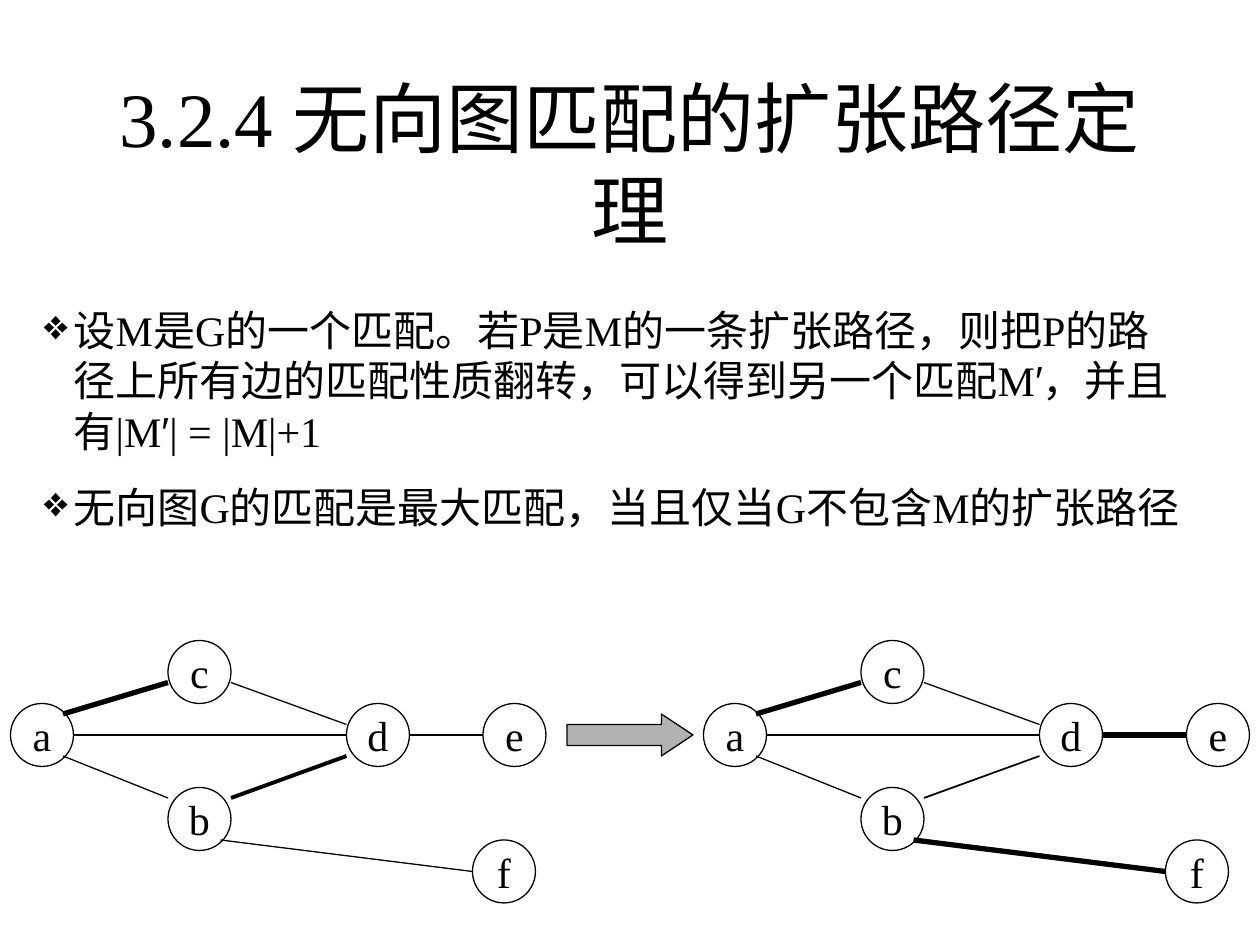
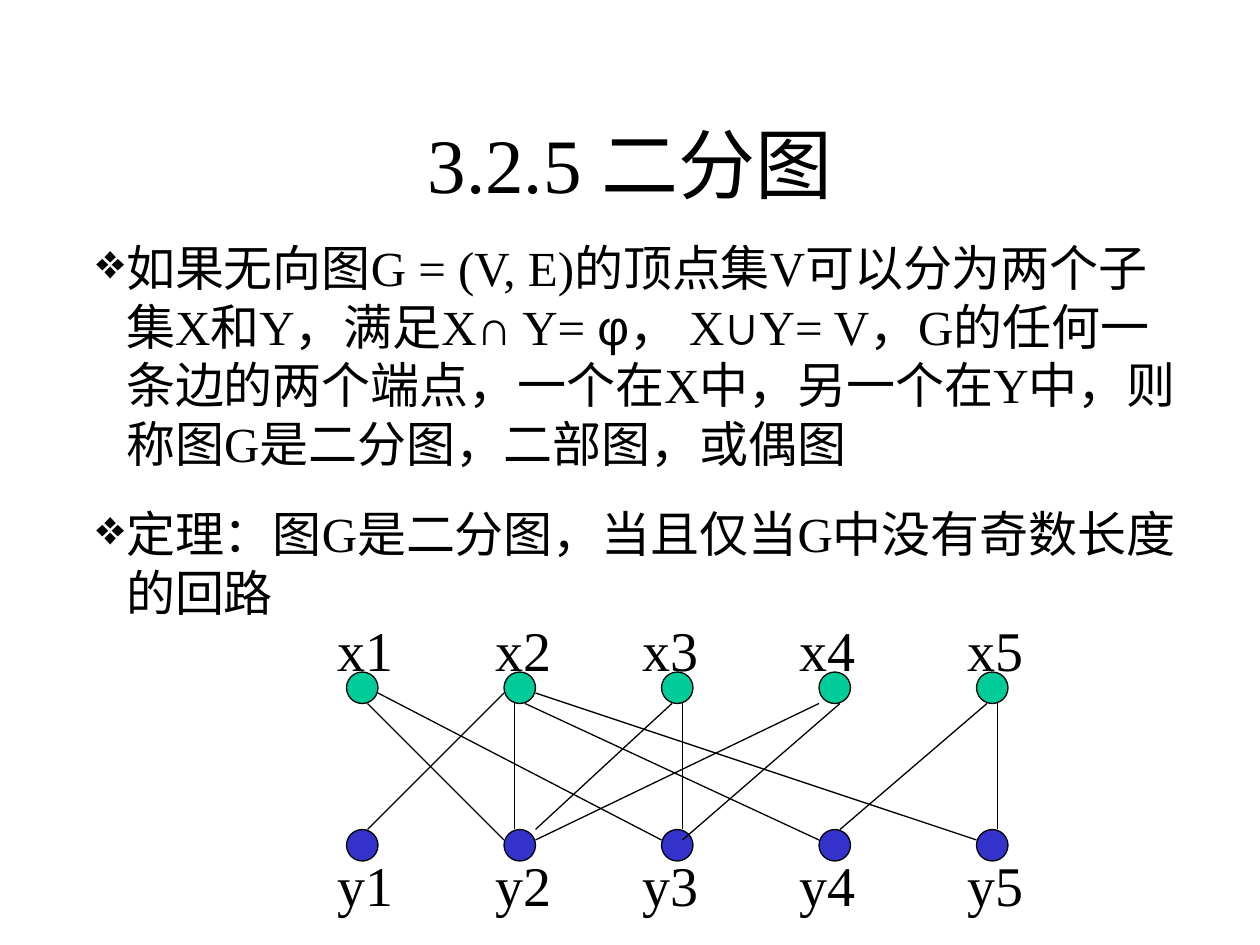
from itertools import groupby

from lxml.etree import SubElement
from pptx import Presentation
from pptx.dml.color import RGBColor
from pptx.enum.shapes import MSO_CONNECTOR as Connector, MSO_SHAPE as Preset
from pptx.enum.text import MSO_ANCHOR as Anchor, PP_ALIGN as Align
from pptx.oxml.ns import qn
from pptx.util import Cm, Pt

BLACK = RGBColor(0x00, 0x00, 0x00)
WHITE = RGBColor(0xFF, 0xFF, 0xFF)
GREY = RGBColor(0xB2, 0xB2, 0xB2)
GREEN = RGBColor(0x00, 0xCC, 0x99)
BLUE = RGBColor(0x33, 0x33, 0xCC)

TEXT_FONT = "Times New Roman"
SYMBOL_FONT = "Arial"
SYMBOLS = "′∩φ∪"
THIN, MEDIUM, THICK = 0.75, 2.25, 3

# Every position is counted in twelfths of an inch
GRID = 2.54 / 12
NODE = 6
DOT = 3


def grid(*steps):
    return [Cm(step * GRID) for step in steps]


class SlideMaker:
    """Holds the shared style and the slide being drawn."""

    def __init__(self):
        self.deck = Presentation()
        self.deck.slide_width, self.deck.slide_height = Cm(25.4), Cm(19.05)
        self.page = None

    def new_page(self, title):
        self.page = self.deck.slides.add_slide(self.deck.slide_layouts[6])
        self.text([title], 9, 8, 102, 15, 44, Align.CENTER, Anchor.MIDDLE)

    def add_spans(self, para, words, size):
        for is_symbol, letters in groupby(words, lambda letter: letter in SYMBOLS):
            span = para.add_run()
            span.text = "".join(letters)
            style = {"size": Pt(size), "name": SYMBOL_FONT if is_symbol else TEXT_FONT}
            for key, value in style.items():
                setattr(span.font, key, value)
            span.font.color.rgb = BLACK

    def bullet(self, para):
        properties = para._p.get_or_add_pPr()
        indent = Cm(0.6)
        properties.set("marL", str(indent))
        properties.set("indent", str(-indent))
        SubElement(properties, qn("a:buChar"), char="❖")

    def text(self, paragraphs, left, top, width, height, size,
             align=Align.LEFT, anchor=Anchor.TOP, bullets=False, gap=0):
        box = self.page.shapes.add_textbox(*grid(left, top, width, height))
        frame = box.text_frame
        frame.word_wrap = True
        frame.vertical_anchor = anchor
        for index, words in enumerate(paragraphs):
            para = frame.add_paragraph() if index else frame.paragraphs[0]
            if bullets:
                self.bullet(para)
            para.alignment = align
            if index:
                para.space_before = Pt(gap)
            self.add_spans(para, words, size)

    def shape(self, preset, left, top, width, height, fill):
        shape = self.page.shapes.add_shape(preset, *grid(left, top, width, height))
        shape.shadow.inherit = False
        shape.fill.solid()
        shape.fill.fore_color.rgb = fill
        shape.line.color.rgb = BLACK
        shape.line.width = Pt(THIN)
        return shape

    def node(self, name, left, top):
        circle = self.shape(Preset.OVAL, left, top, NODE, NODE, WHITE)
        frame = circle.text_frame
        frame.word_wrap = False
        frame.vertical_anchor = Anchor.MIDDLE
        para = frame.paragraphs[0]
        para.alignment = Align.CENTER
        self.add_spans(para, name, 24)

    def edge(self, start_x, start_y, end_x, end_y, weight=THIN):
        line = self.page.shapes.add_connector(
            Connector.STRAIGHT, *grid(start_x, start_y, end_x, end_y))
        line.line.color.rgb = BLACK
        line.line.width = Pt(weight)
        SubElement(line._element.spPr, qn("a:effectLst"))

    def matching_graph(self, shift, e_left, weights):
        """Draws the six-node graph; weights maps an edge name to its width."""
        nodes = {"a": (1, 67), "b": (16, 75), "c": (16, 61),
                 "d": (33, 67), "e": (e_left, 67), "f": (45, 80)}
        edges = {"ac": (6, 68, 16, 65), "ab": (6, 72, 16, 76),
                 "bd": (22, 76, 33, 72), "cd": (22, 65, 33, 69),
                 "ad": (7, 70, 33, 70), "de": (39, 70, e_left, 70),
                 "bf": (21, 80, 45, 83)}
        for name, (left, top) in nodes.items():
            self.node(name, left + shift, top)
        for name, (x1, y1, x2, y2) in edges.items():
            self.edge(x1 + shift, y1, x2 + shift, y2, weights.get(name, THIN))


def augmenting_path_page(maker):
    maker.new_page("3.2.4 无向图匹配的扩张路径定理")
    maker.text(
        ["设M是G的一个匹配。若P是M的一条扩张路径，则把P的路径上所有边的匹配性质翻转，"
         "可以得到另一个匹配M′，并且有|M′| = |M|+1",
         "无向图G的匹配是最大匹配，当且仅当G不包含M的扩张路径"],
        3, 28.4, 111, 27.7, 24, bullets=True, gap=15)

    # Matching before and after the flip
    maker.matching_graph(0, 46, {"ac": THICK, "bd": MEDIUM})
    maker.matching_graph(66, 47, {"ac": THICK, "bd": 1, "de": THICK, "bf": THICK})
    arrow = maker.shape(Preset.RIGHT_ARROW, 54, 68, 12, 4, GREY)
    arrow.adjustments[1] = 0.75


def bipartite_page(maker):
    maker.new_page("3.2.5 二分图")
    maker.text(
        ["如果无向图G = (V, E)的顶点集V可以分为两个子集X和Y，满足X∩ Y= φ， X∪Y= V，"
         "G的任何一条边的两个端点，一个在X中，另一个在Y中，则称图G是二分图，二部图，或偶图",
         "定理：图G是二分图，当且仅当G中没有奇数长度的回路"],
        8, 22, 106, 37.8, 28, bullets=True, gap=17.5)

    # Two rows of vertices with their labels
    label_lefts = (31, 46, 60, 75, 91)
    for letter, dot_top, label_top, color in (("x", 64, 58, GREEN), ("y", 79, 80.4, BLUE)):
        for index, label_left in enumerate(label_lefts):
            maker.shape(Preset.OVAL, 33 + 15 * index, dot_top, DOT, DOT, color)
            maker.text([f"{letter}{index + 1}"], label_left, label_top, 9, 7.7, 32)

    # Edges between the rows
    for ends in ((35, 67, 48, 80), (36, 66, 63, 80), (48, 66, 35, 79),
                 (50, 67, 78, 80), (51, 66, 93, 80), (49, 67, 49, 79),
                 (64, 67, 51, 79), (65, 67, 65, 79), (51, 80, 78, 67),
                 (80, 67, 65, 80), (94, 67, 80, 79), (95, 67, 95, 79)):
        maker.edge(*ends)


def main():
    maker = SlideMaker()
    augmenting_path_page(maker)
    bipartite_page(maker)
    maker.deck.save("out.pptx")


if __name__ == "__main__":
    main()
